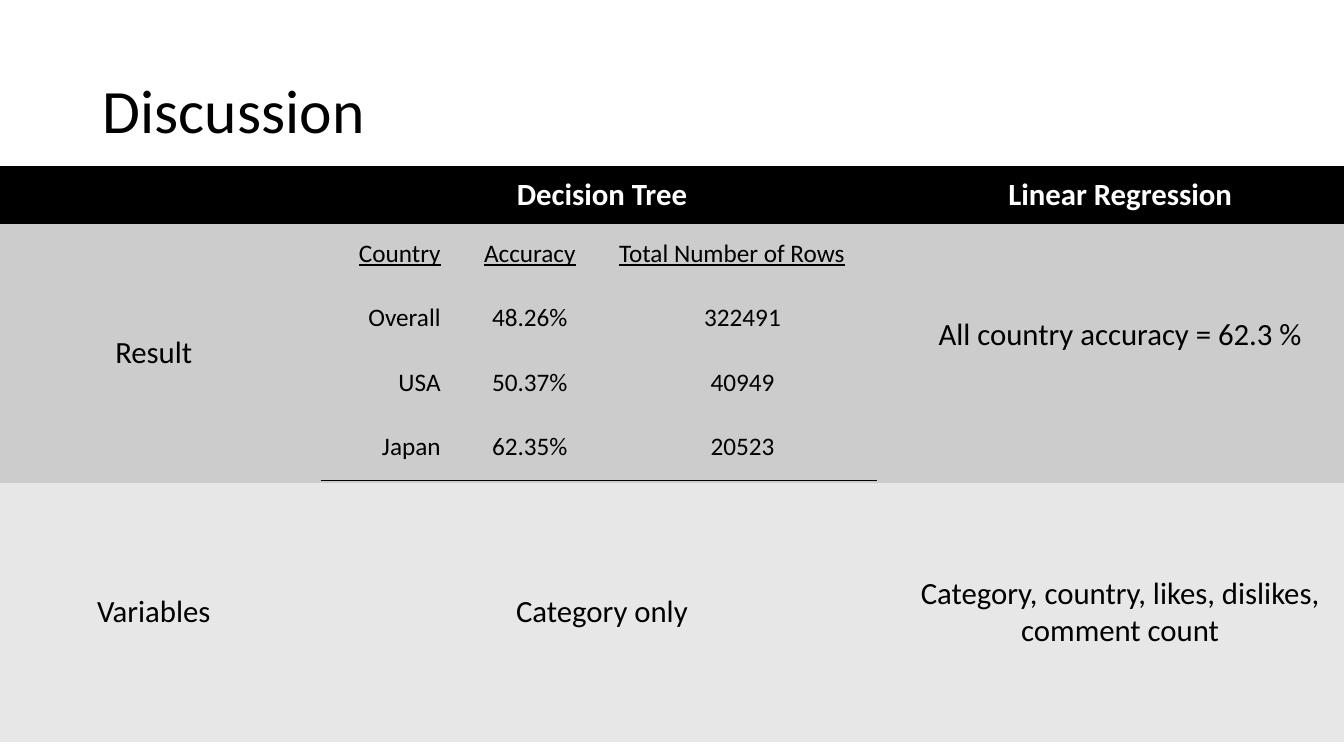
from lxml import etree
from pptx import Presentation
from pptx import util as u
from pptx.dml.color import RGBColor
from pptx.enum import text
from pptx.oxml import ns

BLACK = RGBColor(0x00, 0x00, 0x00)
WHITE = RGBColor(0xFF, 0xFF, 0xFF)
MID_GREY = RGBColor(0xCC, 0xCC, 0xCC)
LIGHT_GREY = RGBColor(0xE7, 0xE7, 0xE7)
PLAIN_TABLE = "{2D5ABB26-0587-4C30-8999-92F81FD0307C}"  # no style, no grid
LEFT, CENTER, RIGHT = text.PP_ALIGN.LEFT, text.PP_ALIGN.CENTER, text.PP_ALIGN.RIGHT
MIDDLE = text.MSO_ANCHOR.MIDDLE


class Page:
    font = "Calibri"

    def __init__(self, deck):
        self.slide = deck.slides.add_slide(deck.slide_layouts[5])

    def set_words(self, para, words, size, color=BLACK, align=LEFT, spacing=1.0, **style):
        para.text = words
        para.alignment = align
        para.line_spacing = spacing
        for span in para.runs:
            span.font.name = self.font
            span.font.size = u.Pt(size)
            span.font.color.rgb = color
            span.font.bold = style.get("bold", False)
            span.font.underline = style.get("underline", False)

    def title(self, words, left, top, width, height):
        box = self.slide.shapes.title
        box.left, box.top = u.Inches(left), u.Inches(top)
        box.width, box.height = u.Inches(width), u.Inches(height)
        box.text_frame.vertical_anchor = MIDDLE
        self.set_words(box.text_frame.paragraphs[0], words, 44, spacing=0.9)

    def table(self, left, top, widths, heights):
        frame = self.slide.shapes.add_table(
            len(heights), len(widths), u.Inches(left), u.Inches(top),
            u.Inches(sum(widths)), u.Inches(sum(heights)))
        for style_id in frame.element.iter(ns.qn("a:tableStyleId")):
            style_id.text = PLAIN_TABLE
        table = frame.table
        table.first_row = table.horz_banding = False
        for column, width in zip(table.columns, widths):
            column.width = u.Inches(width)
        for row, height in zip(table.rows, heights):
            row.height = u.Inches(height)
        return table

    def margins(self, cell, side, end):
        cell.margin_left = cell.margin_right = u.Inches(side)
        cell.margin_top = cell.margin_bottom = u.Inches(end)

    def border(self, cell, tag):
        line = etree.Element(ns.qn(tag), w=str(u.Pt(1)))
        fill = etree.SubElement(line, ns.qn("a:solidFill"))
        etree.SubElement(fill, ns.qn("a:srgbClr"), val=str(BLACK))
        cell._tc.get_or_add_tcPr().insert(0, line)

    def comparison(self, rows, fills):
        table = self.table(0, 1.65, [3.05, 5.84, 4.44], [0.57, 2.57, 2.57])
        for r, (row, fill) in enumerate(zip(rows, fills)):
            for c, words in enumerate(row):
                cell = table.cell(r, c)
                cell.fill.solid()
                cell.fill.fore_color.rgb = fill
                cell.vertical_anchor = MIDDLE
                self.margins(cell, 0.12, 0.06)
                self.set_words(cell.text_frame.paragraphs[0], words, 22,
                               BLACK if r else WHITE, CENTER, bold=r == 0)
        # The regression result sits half a line above the middle
        table.cell(1, 2).margin_bottom = u.Inches(0.43)

    def accuracies(self, rows):
        table = self.table(3.18, 2.21, [1.3, 1.55, 2.67], [0.64] * len(rows))
        for r, row in enumerate(rows):
            for c, words in enumerate(row):
                cell = table.cell(r, c)
                cell.fill.background()
                self.margins(cell, 0.11, 0.11)
                align = (RIGHT, CENTER, CENTER if r else LEFT)[c]
                self.set_words(cell.text_frame.paragraphs[0], words, 18, align=align,
                               spacing=1.15, underline=r == 0)
                if r == 0:
                    self.border(cell, "a:lnT")
                elif r == len(rows) - 1:
                    self.border(cell, "a:lnB")


def main():
    deck = Presentation()
    deck.slide_width, deck.slide_height = u.Inches(13.33), u.Inches(7.5)
    page = Page(deck)

    # Heading
    page.title("Discussion", 0.92, 0.4, 11.5, 1.45)

    # Comparison of the two models
    page.comparison([
        ["", "Decision Tree", "Linear Regression"],
        ["Result", "", "All country accuracy = 62.3 %"],
        ["Variables", "Category only",
         "Category, country, likes, dislikes, comment count"],
    ], [BLACK, MID_GREY, LIGHT_GREY])

    # Decision tree accuracy by country
    page.accuracies([
        ["Country", "Accuracy", "Total Number of Rows"],
        ["Overall", "48.26%", "322491"],
        ["USA", "50.37%", "40949"],
        ["Japan", "62.35%", "20523"],
    ])

    deck.save("out.pptx")


if __name__ == "__main__":
    main()
